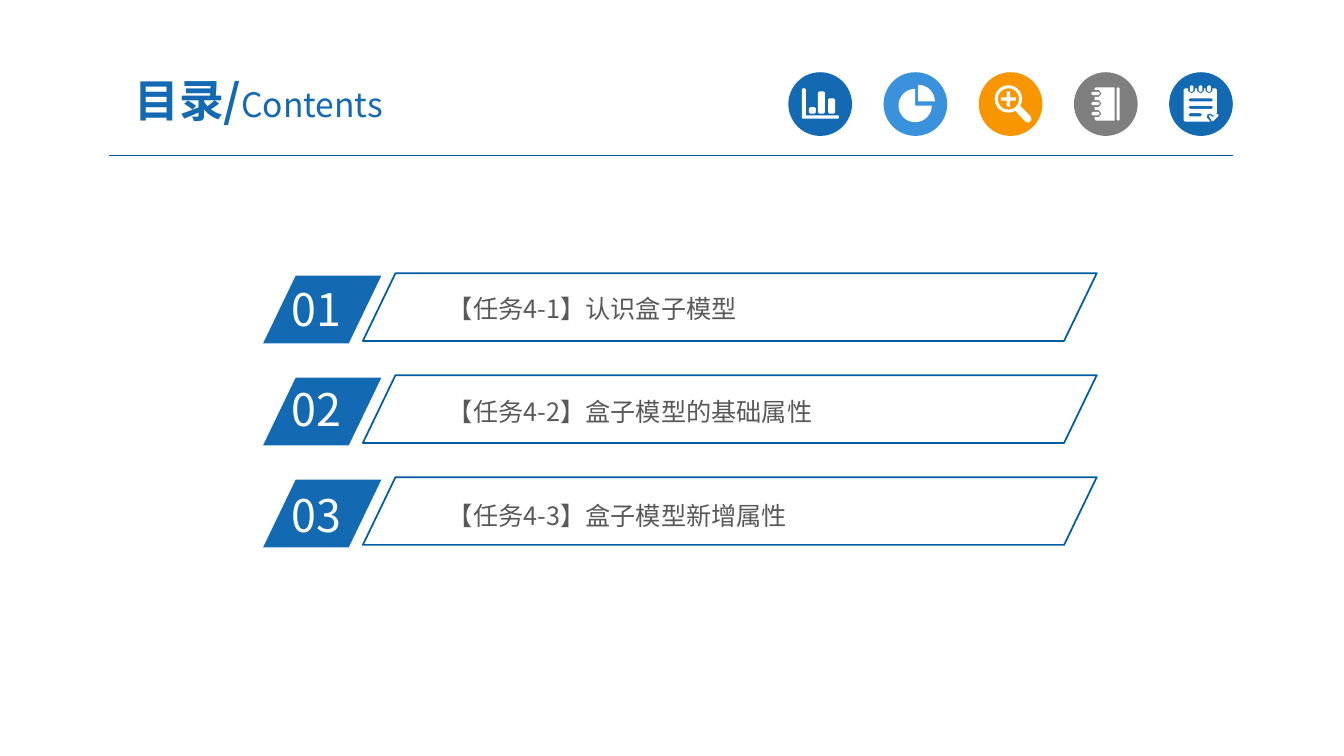
from math import cos, radians, sin

from pptx import Presentation
from pptx.dml.color import RGBColor
from pptx.enum.shapes import MSO_CONNECTOR, MSO_SHAPE as SHAPE
from pptx.enum.text import MSO_ANCHOR, MSO_AUTO_SIZE, PP_ALIGN
from pptx.oxml.ns import qn
from pptx.util import Pt

FONT = "Noto Sans CJK SC"
COLORS = {
    "blue": "1369B2",
    "sky": "3992DB",
    "orange": "F79600",
    "gray": "7F7F7F",
    "white": "FFFFFF",
    "rule": "005B9E",
    "outline": "005DA2",
    "text": "595959",
}
ICON_SIZE, ICON_PITCH = 45.5, 68
ROW_HEIGHT, ROW_PITCH = 48.4, 72.85
SLANT = 0.482

# label, number offset and label offset below the top of the row
ROWS = [
    ("【任务4-1】认识盒子模型", 2.9, 11.5),
    ("【任务4-2】盒子模型的基础属性", 1.2, 12.2),
    ("【任务4-3】盒子模型新增属性", 3.9, 13.6),
]


def rgb(name):
    return RGBColor.from_string(COLORS[name])


def paint(sp, fill=None, line=None):
    sp.shadow.inherit = False
    if fill:
        sp.fill.solid()
        sp.fill.fore_color.rgb = rgb(fill)
    else:
        sp.fill.background()
    if line:
        sp.line.color.rgb = rgb(line)
        sp.line.width = Pt(1.25)
    else:
        sp.line.fill.background()


def add_preset(slide, kind, x, y, w, h, fill=None, line=None, adj=()):
    sp = slide.shapes.add_shape(kind, Pt(x), Pt(y), Pt(w), Pt(h))
    for i, value in enumerate(adj):
        sp.adjustments[i] = value
    paint(sp, fill, line)


def add_run(p, text, size, color, bold=False):
    r = p.add_run()
    r.text = text
    r.font.size = Pt(size)
    r.font.bold = bold
    r.font.name = FONT
    r.font.color.rgb = rgb(color)
    r.font._element.find(qn("a:latin")).addnext(
        r.font._element.makeelement(qn("a:ea"), {"typeface": FONT}))


def set_insets(tf, side, top):
    tf.margin_left = tf.margin_right = Pt(side)
    tf.margin_top = tf.margin_bottom = Pt(top)


def add_text(slide, text, x, y, w, h, size, color, insets=(7.2, 3.6)):
    tf = slide.shapes.add_textbox(Pt(x), Pt(y), Pt(w), Pt(h)).text_frame
    tf.word_wrap = True
    set_insets(tf, *insets)
    add_run(tf.paragraphs[0], text, size, color)


def bar(x, y, w, h, cut=0.9):
    """Outline of a bar with its corners cut."""
    r, b = x + w, y + h
    return [(x + cut, y), (r - cut, y), (r, y + cut), (r, b - cut),
            (r - cut, b), (x + cut, b), (x, b - cut), (x, y + cut)]


def arc(cx, cy, radius, start, end, steps=24):
    angles = [radians(start + (end - start) * i / steps) for i in range(steps + 1)]
    return [(cx + radius * cos(a), cy + radius * sin(a)) for a in angles]


def chart_glyph():
    axes = [(9.4, 12), (10.8, 11.3), (12.2, 12), (12.2, 30.9), (35.5, 30.9),
            (36, 32), (35.5, 33.2), (10, 33.2), (9.4, 32.5)]
    columns = ((14.4, 4.5), (20.9, 15.8), (28.1, 10.8))
    return [axes] + [bar(x, 29.5 - h, 5, h) for x, h in columns]


def pie_glyph():
    return [[(22.3, 23.8)] + arc(22.3, 23.8, 11.9, 0, 270),
            [(24.5, 20.9)] + arc(24.5, 20.9, 11.9, 270, 360, 8)]


def magnifier_glyph():
    handle = [(36.9, 31.7), (37.4, 34), (35.3, 36), (33.1, 35.3)]
    cx, cy, long, short = 20.9, 19.1, 5.4, 1.2
    plus = [(cx - long, cy - short), (cx - short, cy - short), (cx - short, cy - long),
            (cx + short, cy - long), (cx + short, cy - short), (cx + long, cy - short),
            (cx + long, cy + short), (cx + short, cy + short), (cx + short, cy + long),
            (cx - short, cy + long), (cx - short, cy + short), (cx - long, cy + short)]
    return [arc(cx, cy, 9.8, 60, 390) + handle, arc(cx, cy, 7.6, 0, 360), plus]


def notebook_glyph():
    rings = (15.2, 22.4, 29.6)
    cover = [(14.4, 11.8), (15.4, 10.8), (28.8, 10.8), (28.8, 34.6), (15.4, 34.6), (14.4, 33.6)]
    for cy in reversed(rings):
        cover += [(14.4, cy + 2.5), (17.5, cy + 2.5), (19.4, cy), (17.5, cy - 2.5), (14.4, cy - 2.5)]
    return [cover, bar(30.2, 10.8, 2.2, 23.8)] + [bar(12.2, cy - 1.2, 5.8, 2.4) for cy in rings]


def notepad_glyph():
    rings = (15.8, 22.2, 28.3)
    page = [(10.1, 12.5), (11.1, 11.5)]
    for cx in rings:
        page += [(cx - 2.4, 11.5), (cx - 2.4, 13.5), (cx, 15.2), (cx + 2.4, 13.5), (cx + 2.4, 11.5)]
    page += [(32.9, 11.5), (33.9, 12.5), (33.9, 29.2), (31.2, 31), (29.5, 29.6), (27.2, 30),
             (26.7, 32.5), (29.3, 35.3), (11.1, 35.3), (10.1, 34.3)]
    tick = [(28.1, 31.2), (29, 30.6), (31, 32), (33, 30), (34.9, 30), (35, 31.2),
            (31.3, 35), (30.3, 35)]
    lines = ((18.7, 17.3), (24, 17.3), (29.3, 9.4))
    return ([page, tick] + [bar(cx - 1.3, 9.4, 2.6, 4.6) for cx in rings]
            + [bar(13.7, y, w, 2.2) for y, w in lines])


def add_glyph(slide, x, y, contours):
    """Draw all contours as one outline; a contour inside another is a hole."""
    placed = [[(Pt(x + px), Pt(y + py)) for px, py in contour] for contour in contours]
    builder = slide.shapes.build_freeform(*placed[0][0])
    for i, (start, *rest) in enumerate(placed):
        if i:
            builder.move_to(*start)
        builder.add_line_segments(rest, close=True)
    paint(builder.convert_to_shape(), "white")


def add_icons(slide, x, y):
    icons = [(chart_glyph, "blue"), (pie_glyph, "sky"), (magnifier_glyph, "orange"),
             (notebook_glyph, "gray"), (notepad_glyph, "blue")]
    for i, (glyph, color) in enumerate(icons):
        left = x + i * ICON_PITCH
        add_preset(slide, SHAPE.OVAL, left, y, ICON_SIZE, ICON_SIZE, color)
        add_glyph(slide, left + 0.3, y, glyph())


def add_header(slide, x, y, w):
    title = slide.shapes.title
    title.left, title.top, title.width, title.height = Pt(66.2), Pt(45.4), Pt(237), Pt(51.8)
    tf = title.text_frame
    tf.auto_size = MSO_AUTO_SIZE.NONE
    tf.word_wrap = True
    tf.vertical_anchor = MSO_ANCHOR.MIDDLE
    set_insets(tf, 9.4, 5)
    p = tf.paragraphs[0]
    p.alignment = PP_ALIGN.CENTER
    p.space_before = Pt(0)
    add_run(p, "目录/", 32, "blue", bold=True)
    add_run(p, "Contents", 24, "blue")

    rule = slide.shapes.add_connector(MSO_CONNECTOR.STRAIGHT, Pt(x), Pt(y), Pt(x + w), Pt(y))
    rule.line.color.rgb = rgb("rule")
    rule.line.width = Pt(0.75)
    sp_pr = rule._element.spPr
    sp_pr.append(sp_pr.makeelement(qn("a:effectLst"), {}))
    add_icons(slide, x + w - 4 * ICON_PITCH - ICON_SIZE, y - 59.8)


def add_contents(slide, x, y):
    for i, (label, number_dy, label_dy) in enumerate(ROWS):
        top = y + i * ROW_PITCH
        add_preset(slide, SHAPE.PARALLELOGRAM, x, top + 1.8, 84.5, ROW_HEIGHT, "blue", adj=[SLANT])
        add_text(slide, f"{i + 1:02}", x + 13.1, top + number_dy, 80.6, 46, 32, "white")
        add_text(slide, label, x + 127.1, top + label_dy, 329, 27.4, 18, "text", (5, 2.9))
        add_preset(slide, SHAPE.PARALLELOGRAM, x + 71.3, top, 524.2, ROW_HEIGHT,
                   line="outline", adj=[SLANT])


def main():
    prs = Presentation()
    prs.slide_width, prs.slide_height = Pt(960), Pt(540)
    slide = prs.slides.add_slide(prs.slide_layouts[5])
    add_header(slide, 77.8, 111.4, 802.8)
    add_contents(slide, 187.9, 195.1)
    prs.save("out.pptx")


if __name__ == "__main__":
    main()
